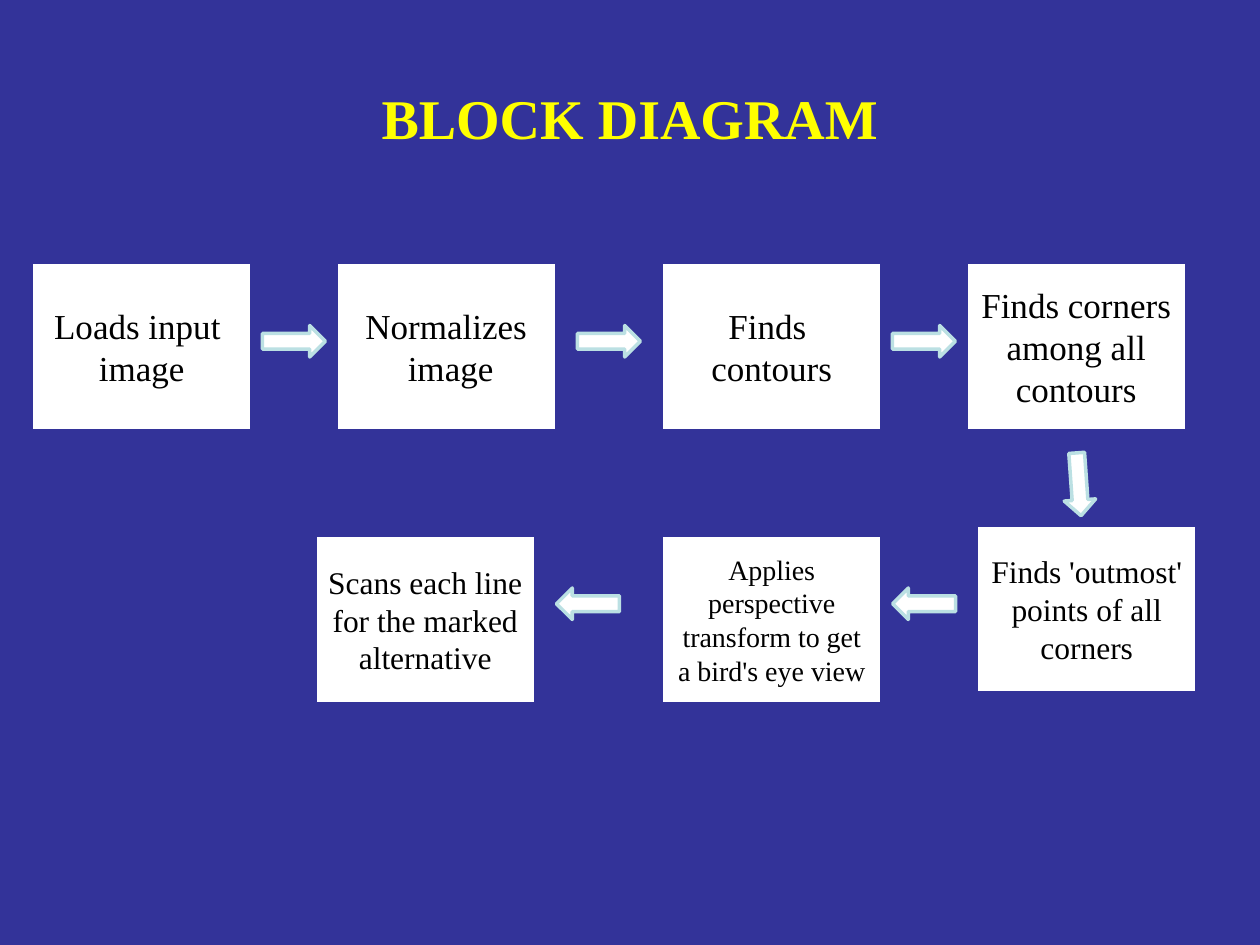
from pptx import Presentation
from pptx.dml.color import RGBColor
from pptx.enum.shapes import MSO_SHAPE
from pptx.enum.text import MSO_ANCHOR, PP_ALIGN
from pptx.util import Pt

PX = 9525  # EMU in one px, 96 px to the inch
RECT, ARROW = MSO_SHAPE.RECTANGLE, MSO_SHAPE.RIGHT_ARROW
MIDDLE, CENTER = MSO_ANCHOR.MIDDLE, PP_ALIGN.CENTER

NAVY = RGBColor(0x33, 0x33, 0x99)
YELLOW = RGBColor(0xFF, 0xFF, 0x00)
WHITE = RGBColor(0xFF, 0xFF, 0xFF)
BLACK = RGBColor(0x00, 0x00, 0x00)
PALE = RGBColor(0xBB, 0xE0, 0xE3)
FONT = "Times New Roman"

STEP_W, STEP_H = 168, 128
ARROW_W, ARROW_H = 48, 24

# Steps: left, top, font size, text (relative to the flow box)
STEPS = [
    (0, 0, 20, "Loads input \nimage"),
    (232, 0, 20, "Normalizes\n image"),
    (480, 0, 20, "Finds \ncontours"),
    (712, 0, 20, "Finds corners among all contours"),
    (720, 200, 18, "Finds 'outmost' points of all corners"),
    (480, 208, 16, "Applies\n perspective \ntransform to get a bird's eye view"),
    (216, 208, 18, "Scans each line for the marked alternative"),
]
# Arrows: left, top, turn in degrees
ARROWS = [
    (176, 48, 0), (416, 48, 0), (656, 48, 0),
    (774, 157, 86),
    (656, 248, 180), (400, 248, 180),
]


def px(*vals):
    return [v * PX for v in vals]


def write(shape, text, size=20, color=BLACK, bold=False):
    frame = shape.text_frame
    frame.word_wrap = True
    frame.vertical_anchor = MIDDLE
    frame.text = text
    for para in frame.paragraphs:
        para.alignment = CENTER
        for run in para.runs:
            font = run.font
            font.name, font.size, font.bold = FONT, Pt(size), bold
            font.color.rgb = color


def block(slide, kind, box, line):
    shape = slide.shapes.add_shape(kind, *px(*box))
    shape.shadow.inherit = False
    shape.fill.solid()
    shape.fill.fore_color.rgb = WHITE
    shape.line.color.rgb = line
    shape.line.width = Pt(2)
    return shape


def title(slide, box):
    write(slide.shapes.add_textbox(*px(*box)), "BLOCK DIAGRAM",
          size=32, color=YELLOW, bold=True)


def flow(slide, left, top):
    # Process steps
    for x, y, size, text in STEPS:
        step = block(slide, RECT, (left + x, top + y, STEP_W, STEP_H), NAVY)
        write(step, text, size=size)
    # Arrows between steps
    for x, y, turn in ARROWS:
        arrow = block(slide, ARROW, (left + x, top + y, ARROW_W, ARROW_H), PALE)
        arrow.rotation = turn


def main():
    deck = Presentation()
    deck.slide_width, deck.slide_height = px(960, 720)
    slide = deck.slides.add_slide(deck.slide_layouts[6])
    slide.background.fill.solid()
    slide.background.fill.fore_color.rgb = NAVY
    title(slide, (48, 29, 864, 120))
    flow(slide, 24, 200)
    deck.save("out.pptx")


if __name__ == "__main__":
    main()
